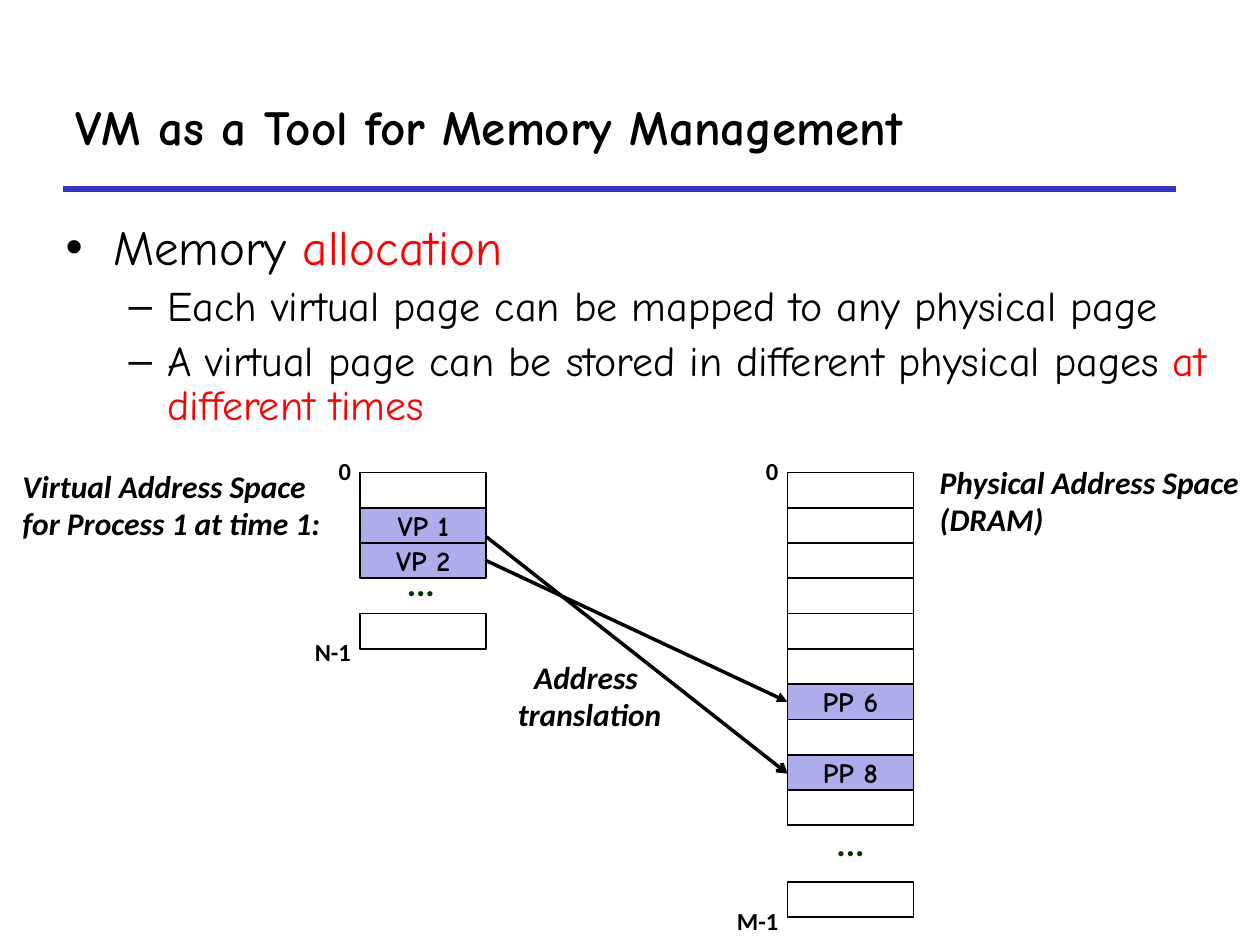
from dataclasses import dataclass

from lxml.etree import SubElement
from pptx import Presentation
from pptx.dml.color import RGBColor
from pptx.enum.shapes import MSO_CONNECTOR, MSO_SHAPE
from pptx.enum.text import MSO_ANCHOR, MSO_AUTO_SIZE, PP_ALIGN
from pptx.oxml.ns import qn
from pptx.util import Inches, Pt


@dataclass(frozen=True)
class Theme:
    ink: str = "000000"
    accent: str = "FF0000"
    rule: str = "3333CC"
    page: str = "ADADEB"
    dots: str = "003300"
    heading_font: str = "Comic Neue"
    label_font: str = "Calibri"
    title_size: int = 28
    item_size: int = 24
    dots_size: int = 20
    caption_size: int = 18
    page_size: int = 16
    index_size: int = 14


THEME = Theme()
CELL_WIDTH, CELL_HEIGHT = 1, 0.28
LEVELS = [
    {"bullet": "•", "size": THEME.title_size, "indent": 0.38, "hanging": 0.38,
     "spacing": 0.83},
    {"bullet": "–", "size": THEME.item_size, "indent": 0.81, "hanging": 0.31,
     "spacing": 0.88},
]
ITEMS = [
    (0, [("Memory ", THEME.ink), ("allocation", THEME.accent)]),
    (1, [("Each virtual page can be mapped to any physical page", THEME.ink)]),
    (1, [("A virtual page can be stored in different physical pages ", THEME.ink),
         ("at different times", THEME.accent)]),
]


def place(shape, left, top, width, height):
    box = {"left": left, "top": top, "width": width, "height": height}
    for name, value in box.items():
        setattr(shape, name, Inches(value))


def format_font(font, color=THEME.ink, **values):
    for name, value in values.items():
        setattr(font, name, Pt(value) if name == "size" else value)
    font.color.rgb = RGBColor.from_string(color)


def add_line(slide, start, end, color, width, head=None):
    line = slide.shapes.add_connector(
        MSO_CONNECTOR.STRAIGHT, *map(Inches, (*start, *end)))
    line.line.color.rgb = RGBColor.from_string(color)
    line.line.width = Pt(width)
    if head:
        SubElement(line.line._get_or_add_ln(), qn("a:tailEnd"), type=head)
    SubElement(line._element.spPr, qn("a:effectLst"))


def add_label(slide, box, lines, size, color=THEME.ink, italic=False,
              wrap=False, spacing=0.98, align=PP_ALIGN.LEFT):
    label = slide.shapes.add_textbox(*map(Inches, box))
    frame = label.text_frame
    frame.word_wrap = wrap
    frame.auto_size = MSO_AUTO_SIZE.SHAPE_TO_FIT_TEXT
    frame.text = "\n".join(lines)
    for paragraph in frame.paragraphs:
        paragraph.alignment = align
        paragraph.line_spacing = spacing
        format_font(paragraph.runs[0].font, color, name=THEME.label_font,
                    size=size, bold=True, italic=italic)


def add_title(slide, left, top, width, height):
    title = slide.shapes.title
    place(title, left, top, width, height)
    frame = title.text_frame
    frame.vertical_anchor = MSO_ANCHOR.MIDDLE
    frame.auto_size = MSO_AUTO_SIZE.NONE
    frame.text = "VM as a Tool for Memory Management"
    paragraph = frame.paragraphs[0]
    paragraph.alignment = PP_ALIGN.LEFT
    format_font(paragraph.runs[0].font, name=THEME.heading_font,
                size=THEME.title_size, bold=True)
    rule_y = top + height
    add_line(slide, (left, rule_y), (9.33, rule_y), THEME.rule, 3)


def add_body(slide, left, top, width, height):
    body = slide.placeholders[1]
    place(body, left, top, width, height)
    frame = body.text_frame
    frame.auto_size = MSO_AUTO_SIZE.NONE
    for index, (level, runs) in enumerate(ITEMS):
        paragraph = frame.add_paragraph() if index else frame.paragraphs[0]
        style = LEVELS[level]
        paragraph.level = level
        paragraph.line_spacing = style["spacing"]
        paragraph.space_before = Pt(6 if index else 0)
        properties = paragraph._p.get_or_add_pPr()
        properties.set("marL", str(Inches(style["indent"])))
        properties.set("indent", str(-Inches(style["hanging"])))
        SubElement(properties, qn("a:buChar"), char=style["bullet"])
        for text, color in runs:
            run = paragraph.add_run()
            run.text = text
            format_font(run.font, color, name=THEME.heading_font,
                        size=style["size"])


def add_cell(slide, left, top, text=None):
    cell = slide.shapes.add_shape(
        MSO_SHAPE.RECTANGLE, *map(Inches, (left, top, CELL_WIDTH, CELL_HEIGHT)))
    cell.shadow.inherit = False
    cell.line.color.rgb = RGBColor.from_string(THEME.ink)
    cell.line.width = Pt(1)
    if text is None:
        cell.fill.background()
        return
    cell.fill.solid()
    cell.fill.fore_color.rgb = RGBColor.from_string(THEME.page)
    frame = cell.text_frame
    frame.vertical_anchor = MSO_ANCHOR.MIDDLE
    frame.text = text
    paragraph = frame.paragraphs[0]
    paragraph.alignment = PP_ALIGN.CENTER
    format_font(paragraph.runs[0].font, name=THEME.heading_font,
                size=THEME.page_size, bold=True)


def add_memory(slide, left, top, count, pages, last_top, last_label,
               last_label_width, dots_at):
    """Stack count cells, then dots and the last cell; pages maps index to name."""
    for index in range(count):
        add_cell(slide, left, top + index * CELL_HEIGHT, pages.get(index))
    add_cell(slide, left, last_top)
    add_label(slide, (*dots_at, 0.42, 0.39), ["..."], THEME.dots_size,
              THEME.dots, spacing=0.88)
    label_right = left + 0.03
    for text, width, label_top in (("0", 0.3, top - 0.17),
                                   (last_label, last_label_width, last_top + 0.15)):
        add_label(slide, (label_right - width, label_top, width, 0.33), [text],
                  THEME.index_size)


def add_diagram(slide, left, top):
    virtual_left, physical_left = left + 2.78, left + 6.17
    caption = {"size": THEME.caption_size, "italic": True}
    add_label(slide, (left, top - 0.08, 2.58, 0.69),
              ["Virtual Address Space for Process 1 at time 1:"],
              wrap=True, **caption)
    add_label(slide, (left + 7.28, top - 0.11, 2.68, 0.69),
              ["Physical Address Space (DRAM)"], wrap=True, **caption)
    add_memory(slide, virtual_left, top, 3, {1: "VP 1", 2: "VP 2"},
               top + 1.12, "N-1", 0.49, (virtual_left + 0.27, top + 0.7))
    add_memory(slide, physical_left, top, 10, {6: "PP 6", 8: "PP 8"},
               top + 3.25, "M-1", 0.53, (physical_left + 0.29, top + 2.76))
    for start, end, head in ((0.7, 1.82, "triangle"), (0.51, 2.39, "arrow")):
        add_line(slide, (virtual_left + CELL_WIDTH, top + start),
                 (physical_left, top + end), THEME.ink, 2, head)
    add_label(slide, (left + 3.93, top + 1.42, 1.34, 0.7),
              ["Address ", "translation"], spacing=1.0,
              align=PP_ALIGN.CENTER, **caption)


def main():
    presentation = Presentation()
    presentation.slide_width = Inches(10)
    presentation.slide_height = Inches(7.5)
    slide = presentation.slides.add_slide(presentation.slide_layouts[1])
    add_title(slide, 0.5, 0.5, 9.42, 1)
    add_body(slide, 0.42, 1.75, 9.33, 2.08)
    add_diagram(slide, 0.08, 3.75)
    presentation.save("out.pptx")


if __name__ == "__main__":
    main()
